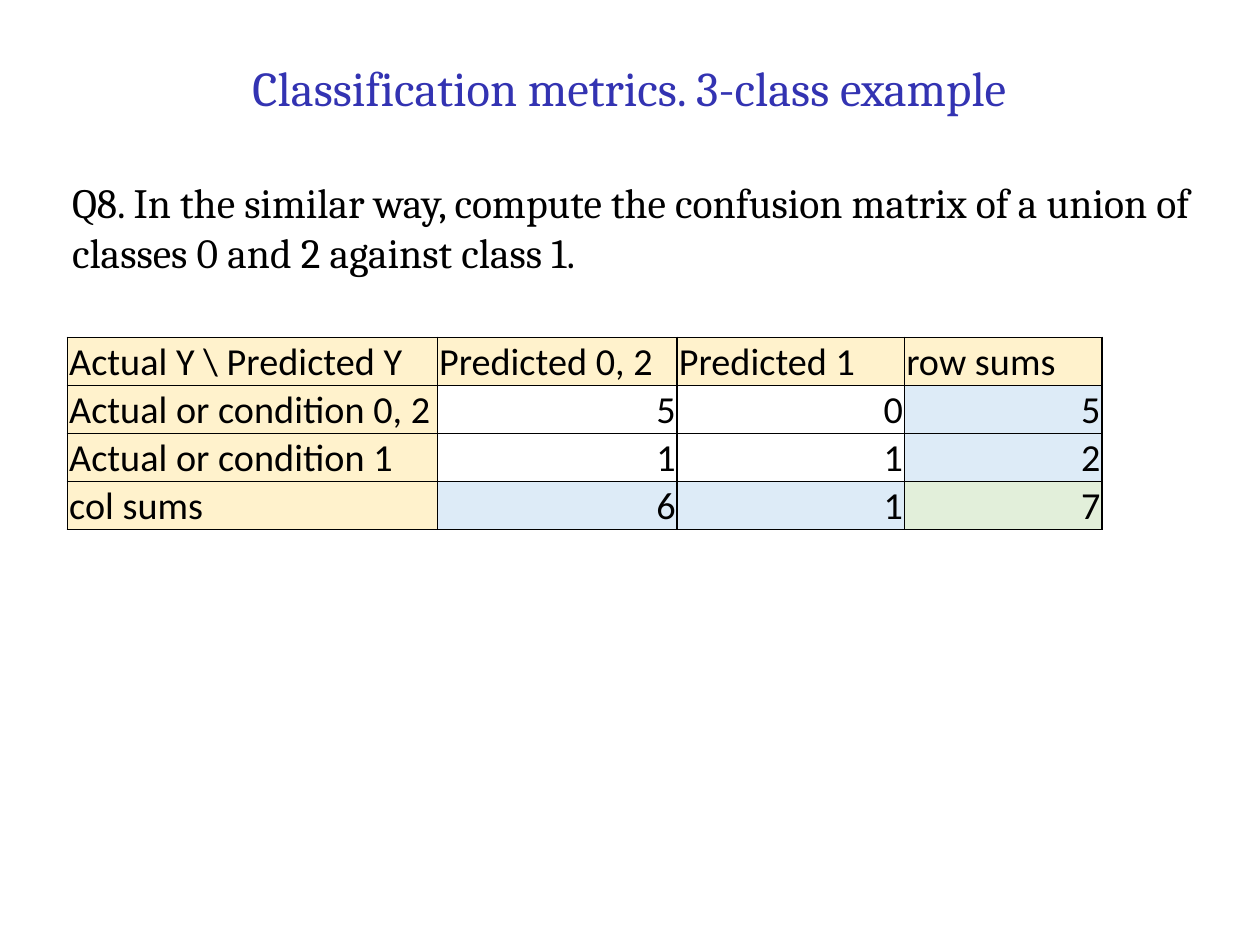
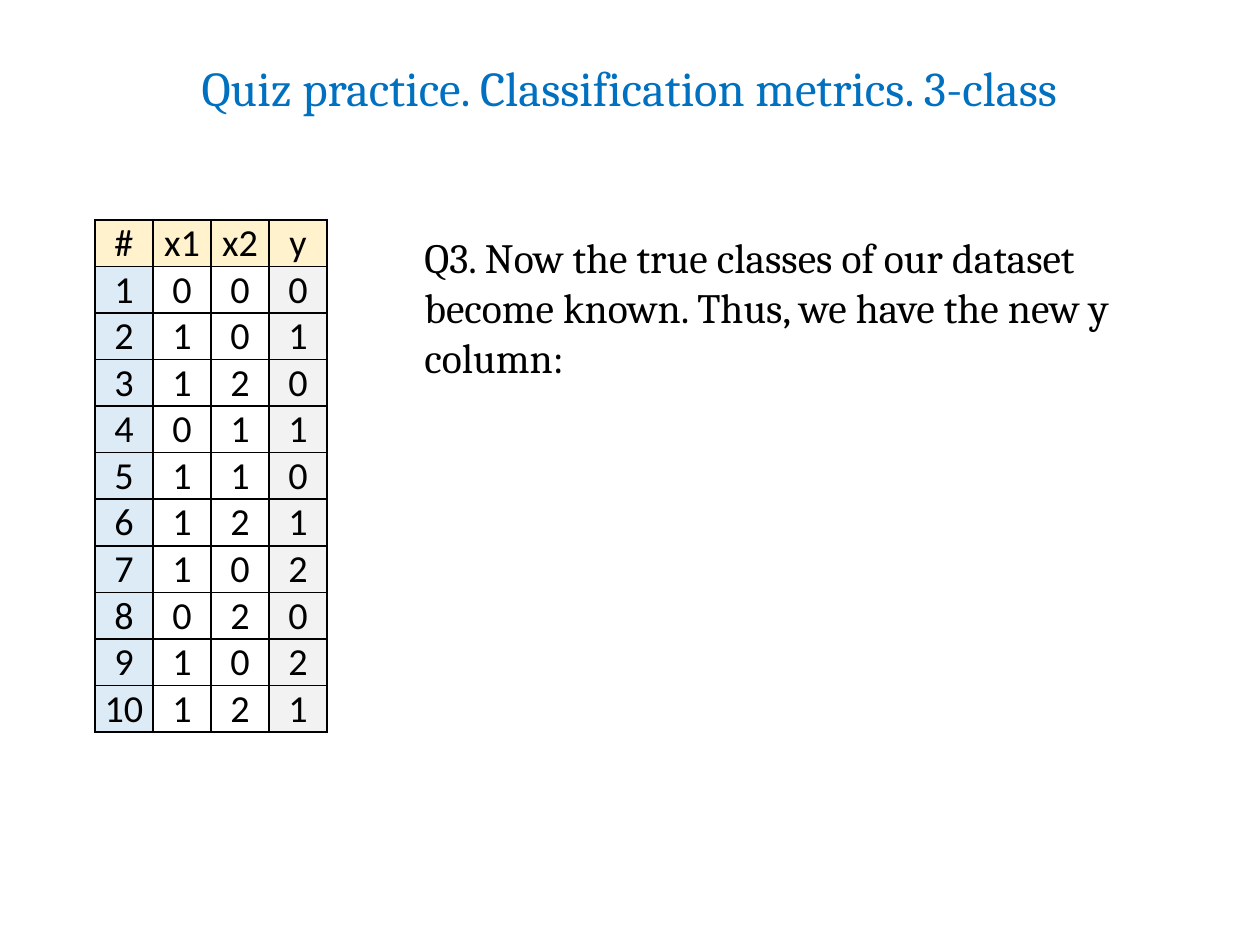
from lxml import etree
from pptx import Presentation
from pptx.dml.color import RGBColor
from pptx.enum.text import MSO_ANCHOR as Anchor, MSO_AUTO_SIZE as AutoSize, PP_ALIGN as Align
from pptx.oxml.ns import qn
from pptx.util import Inches, Pt

BLACK = RGBColor(0x00, 0x00, 0x00)
INDIGO = RGBColor(0x33, 0x33, 0xB2)
BLUE = RGBColor(0x00, 0x70, 0xC0)
CREAM = RGBColor(0xFF, 0xF2, 0xCC)
PALE_BLUE = RGBColor(0xDD, 0xEB, 0xF7)
PALE_GREEN = RGBColor(0xE2, 0xEF, 0xDA)
PALE_GRAY = RGBColor(0xF2, 0xF2, 0xF2)

SLIDE_WIDTH, SLIDE_HEIGHT = Pt(363), Pt(272.5)
TEXT_FONT, TABLE_FONT = "Cambria", "Calibri"
TITLE_SIZE, BODY_SIZE, TABLE_SIZE = Pt(14), Pt(12), Pt(11)
BORDER_WIDTH = Pt(0.5)

CONFUSION_TITLE = "Classification metrics. 3-class example"
CONFUSION_QUESTION = ("Q8. In the similar way, compute the confusion matrix "
                      "of a union of classes 0 and 2 against class 1.")
CONFUSION_ROWS = [
    ("Actual Y \\ Predicted Y", "Predicted 0, 2", "Predicted 1", "row sums"),
    ("Actual or condition 0, 2", 5, 0, 5),
    ("Actual or condition 1", 1, 1, 2),
    ("col sums", 6, 1, 7),
]

DATASET_TITLE = "Quiz practice. Classification metrics. 3-class"
DATASET_QUESTION = ("Q3. Now the true classes of our dataset become known. "
                    "Thus, we have the new y column:")
SAMPLES = [(0, 0, 0), (1, 0, 1), (1, 2, 0), (0, 1, 1), (1, 1, 0),
           (1, 2, 1), (1, 0, 2), (0, 2, 0), (1, 0, 2), (1, 2, 1)]
DATASET_ROWS = [("#", "x1", "x2", "y")]
DATASET_ROWS += [(number, *sample) for number, sample in enumerate(SAMPLES, 1)]


def confusion_fill(row, column):
    if row == 0 or column == 0:
        return CREAM
    sums = (row == len(CONFUSION_ROWS) - 1) + (column == len(CONFUSION_ROWS[0]) - 1)
    return (None, PALE_BLUE, PALE_GREEN)[sums]


def dataset_fill(row, column):
    if row == 0:
        return CREAM
    return {0: PALE_BLUE, 3: PALE_GRAY}.get(column)


def add_run(paragraph, text, font_name, size, color):
    run = paragraph.add_run()
    run.text = text
    run.font.name = font_name
    run.font.size = size
    run.font.color.rgb = color


def set_insets(target, left, top, right, bottom):
    target.margin_left, target.margin_top = left, top
    target.margin_right, target.margin_bottom = right, bottom


def add_titled_slide(presentation, title, color):
    slide = presentation.slides.add_slide(presentation.slide_layouts[5])
    shape = slide.shapes.title
    shape.left, shape.top = Inches(0), Inches(0.23)
    shape.width, shape.height = SLIDE_WIDTH, Inches(0.24)
    frame = shape.text_frame
    set_insets(frame, 0, 0, 0, 0)
    frame.vertical_anchor = Anchor.TOP
    frame.auto_size = AutoSize.SHAPE_TO_FIT_TEXT
    paragraph = frame.paragraphs[0]
    paragraph.alignment = Align.CENTER
    add_run(paragraph, title, TEXT_FONT, TITLE_SIZE, color)
    return slide


def add_question(slide, text, left, top, width, height):
    box = slide.shapes.add_textbox(Inches(left), Inches(top), Inches(width), Inches(height))
    box.text_frame.word_wrap = True
    add_run(box.text_frame.paragraphs[0], text, TEXT_FONT, BODY_SIZE, BLACK)


def add_borders(cell):
    properties = cell._tc.get_or_add_tcPr()
    for side in ("a:lnL", "a:lnR", "a:lnT", "a:lnB"):
        line = etree.SubElement(properties, qn(side), w=str(BORDER_WIDTH))
        fill = etree.SubElement(line, qn("a:solidFill"))
        etree.SubElement(fill, qn("a:srgbClr"), val=str(BLACK))


def add_grid(slide, rows, left, top, widths, height, insets, anchor, align_for, fill_for):
    """Add a bordered table; align_for takes a value, fill_for a row and column."""
    table = slide.shapes.add_table(
        len(rows), len(widths), Inches(left), Inches(top),
        Inches(sum(widths)), Inches(height)).table
    table.first_row = table.horz_banding = False
    for column, width in zip(table.columns, widths):
        column.width = Inches(width)
    for row_index, values in enumerate(rows):
        for column_index, value in enumerate(values):
            cell = table.cell(row_index, column_index)
            set_insets(cell, *insets)
            cell.vertical_anchor = anchor
            add_borders(cell)
            color = fill_for(row_index, column_index)
            if color is None:
                cell.fill.background()
            else:
                cell.fill.solid()
                cell.fill.fore_color.rgb = color
            paragraph = cell.text_frame.paragraphs[0]
            paragraph.alignment = align_for(value)
            add_run(paragraph, str(value), TABLE_FONT, TABLE_SIZE, BLACK)


def main():
    presentation = Presentation()
    presentation.slide_width, presentation.slide_height = SLIDE_WIDTH, SLIDE_HEIGHT

    slide = add_titled_slide(presentation, CONFUSION_TITLE, INDIGO)
    add_question(slide, CONFUSION_QUESTION, 0.19, 0.66, 4.7, 0.5)
    add_grid(slide, CONFUSION_ROWS, 0.27, 1.35, (1.48, 0.96, 0.91, 0.79), 0.77,
             (Pt(0.5), Pt(0.5), Pt(0.5), 0), Anchor.BOTTOM,
             lambda value: Align.RIGHT if isinstance(value, int) else Align.LEFT,
             confusion_fill)

    slide = add_titled_slide(presentation, DATASET_TITLE, BLUE)
    add_question(slide, DATASET_QUESTION, 1.6, 0.88, 3.13, 1.72)
    add_grid(slide, DATASET_ROWS, 0.38, 0.88, (0.93 / 4,) * 4, 2.05,
             (0, 0, 0, 0), Anchor.MIDDLE, lambda value: Align.CENTER, dataset_fill)

    presentation.save("out.pptx")


if __name__ == "__main__":
    main()
